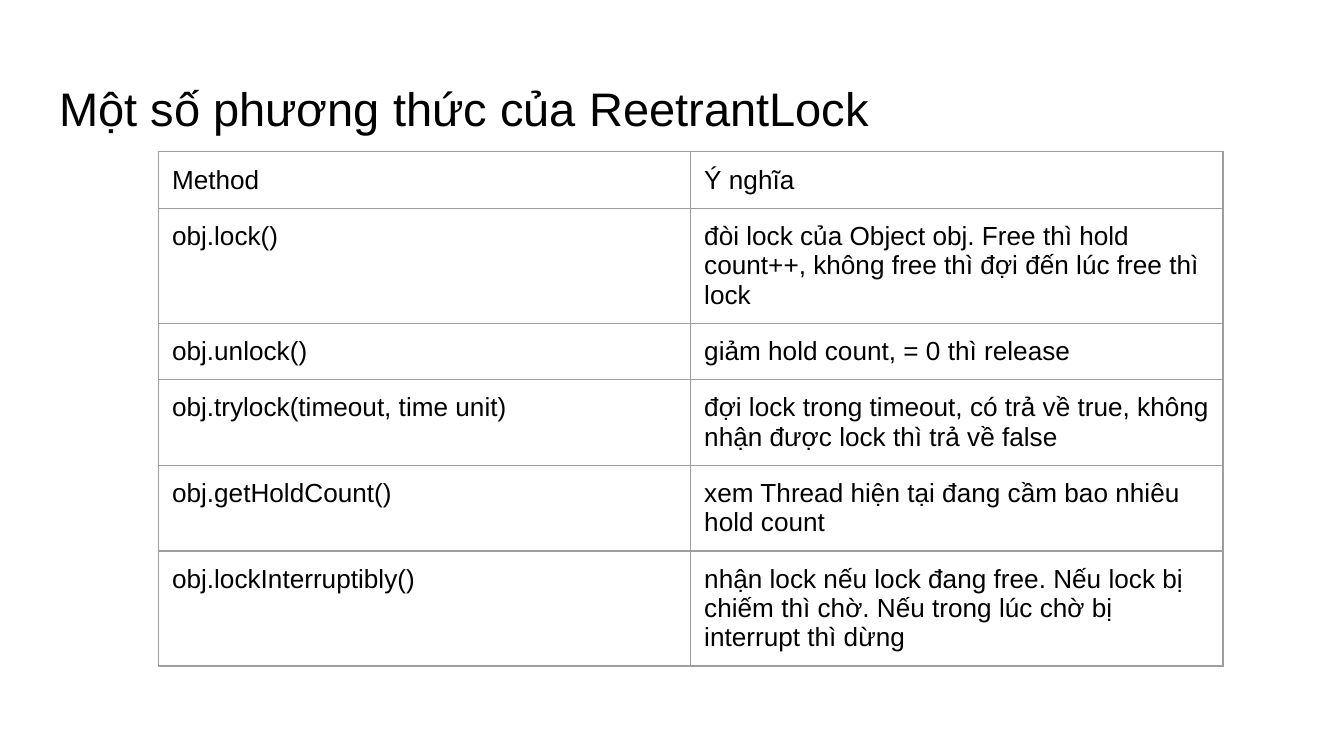
from dataclasses import dataclass

from lxml.etree import SubElement
from pptx import Presentation
from pptx.dml.color import RGBColor
from pptx.enum.text import MSO_ANCHOR as Anchor, PP_ALIGN as Align
from pptx.oxml.ns import qn
from pptx.util import Inches, Pt


@dataclass(frozen=True)
class Theme:
    font: str = "Arial"
    text_color: str = "000000"
    background: str = "FFFFFF"
    border_color: str = "9E9E9E"
    border_width: float = 0.75
    title_size: float = 25.2
    cell_size: float = 14
    inset: float = 0.1


class SlideBuilder:
    def __init__(self, slide, theme):
        self.slide = slide
        self.theme = theme
        fill = slide.background.fill
        fill.solid()
        fill.fore_color.rgb = RGBColor.from_string(theme.background)

    def format_text(self, text_frame, size):
        for paragraph in text_frame.paragraphs:
            paragraph.alignment = Align.LEFT
            for run in paragraph.runs:
                run.font.name = self.theme.font
                run.font.size = Pt(size)
                run.font.bold = False
                run.font.color.rgb = RGBColor.from_string(self.theme.text_color)

    def set_margins(self, target):
        for side in ("left", "top", "right", "bottom"):
            setattr(target, f"margin_{side}", Inches(self.theme.inset))

    def add_title(self, text, left, top, width, height):
        title = self.slide.shapes.title
        title.left, title.top = Inches(left), Inches(top)
        title.width, title.height = Inches(width), Inches(height)
        text_frame = title.text_frame
        text_frame.text = text
        text_frame.word_wrap = True
        text_frame.vertical_anchor = Anchor.TOP
        self.set_margins(text_frame)
        self.format_text(text_frame, self.theme.title_size)

    def add_borders(self, cell):
        properties = cell._tc.get_or_add_tcPr()
        for edge in ("lnL", "lnR", "lnT", "lnB"):
            line = SubElement(properties, qn(f"a:{edge}"), w=str(Pt(self.theme.border_width)))
            fill = SubElement(line, qn("a:solidFill"))
            SubElement(fill, qn("a:srgbClr"), val=self.theme.border_color)

    def add_table(self, rows, left, top, column_width, row_height):
        columns = len(rows[0])
        table = self.slide.shapes.add_table(
            len(rows), columns, Inches(left), Inches(top),
            Inches(column_width * columns), Inches(row_height * len(rows)),
        ).table
        table.first_row = False
        table.horz_banding = False
        for row, texts in enumerate(rows):
            for column, text in enumerate(texts):
                cell = table.cell(row, column)
                cell.text_frame.text = text
                cell.vertical_anchor = Anchor.TOP
                self.set_margins(cell)
                self.format_text(cell.text_frame, self.theme.cell_size)
                self.add_borders(cell)
                cell.fill.background()


METHODS = [
    ("Method", "Ý nghĩa"),
    ("obj.lock()",
     "đòi lock của Object obj. Free thì hold count++, không free thì đợi đến lúc free thì lock"),
    ("obj.unlock()", "giảm hold count, = 0 thì release"),
    ("obj.trylock(timeout, time unit)",
     "đợi lock trong timeout, có trả về true, không nhận được lock thì trả về false"),
    ("obj.getHoldCount()", "xem Thread hiện tại đang cầm bao nhiêu hold count"),
    ("obj.lockInterruptibly()",
     "nhận lock nếu lock đang free. Nếu lock bị chiếm thì chờ. "
     "Nếu trong lúc chờ bị interrupt thì dừng"),
]


def main():
    presentation = Presentation()
    presentation.slide_width = Inches(10)
    presentation.slide_height = presentation.slide_width * 9 // 16
    slide = presentation.slides.add_slide(presentation.slide_layouts[5])
    builder = SlideBuilder(slide, Theme())
    builder.add_title("Một số phương thức của ReetrantLock", 0.34, 0.49, 9.32, 0.63)
    builder.add_table(METHODS, 1.18, 1.13, column_width=3.96, row_height=0.42)
    presentation.save("out.pptx")


if __name__ == "__main__":
    main()
